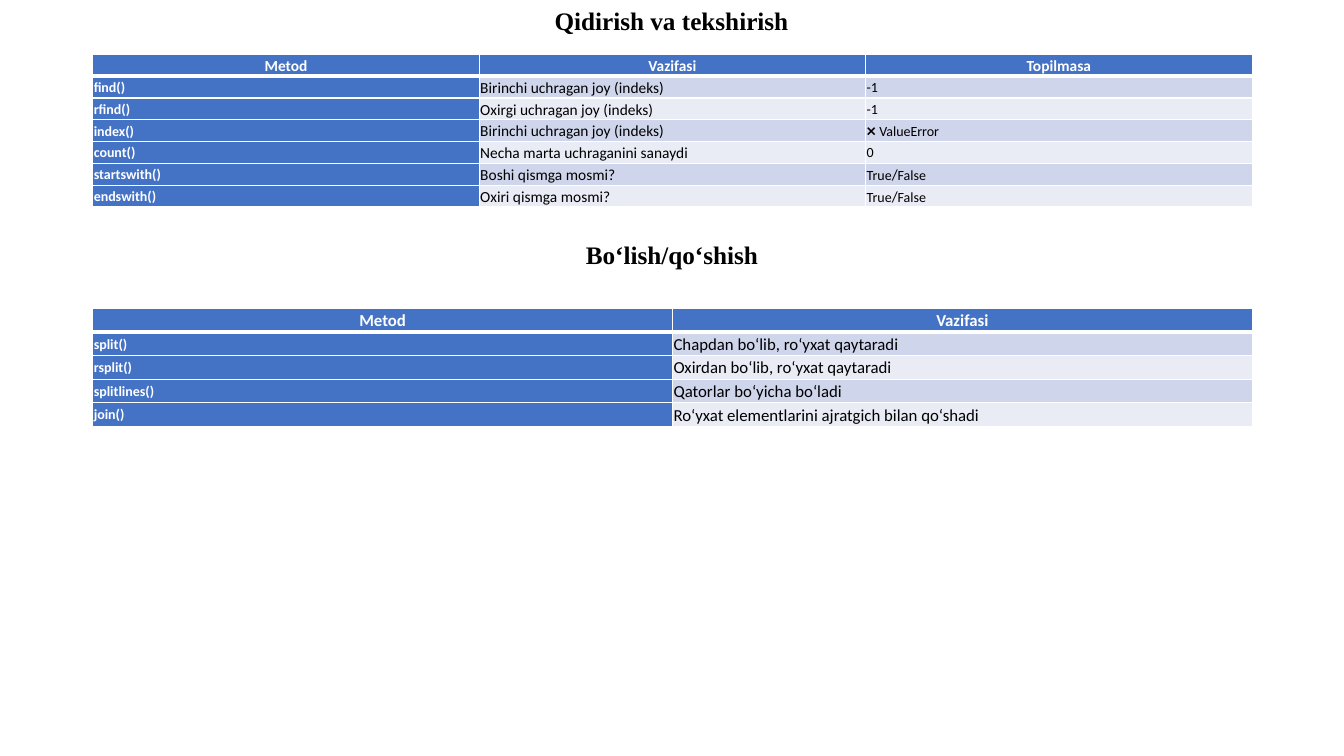
"""Build a slide with two reference tables of Python string methods."""
from lxml.etree import SubElement
from pptx import Presentation
from pptx.dml.color import RGBColor
from pptx.enum.text import MSO_ANCHOR, MSO_AUTO_SIZE, PP_ALIGN
from pptx.oxml.ns import qn
from pptx.util import Inches, Pt

BLUE, WHITE, BLACK = "4472C4", "FFFFFF", "000000"
BANDS = ("CFD5EA", "E9EBF5")
TRUE_FALSE = [("True", 10), ("/", 11), ("False", 10)]

SEARCH_ROWS = [
    ("Metod", "Vazifasi", "Topilmasa"),
    ("find()", "Birinchi uchragan joy (indeks)", "-1"),
    ("rfind()", "Oxirgi uchragan joy (indeks)", "-1"),
    ("index()", "Birinchi uchragan joy (indeks)", "❌ ValueError"),
    ("count()", "Necha marta uchraganini sanaydi", "0"),
    ("startswith()", "Boshi qismga mosmi?", TRUE_FALSE),
    ("endswith()", "Oxiri qismga mosmi?", TRUE_FALSE),
]
SPLIT_ROWS = [
    ("Metod", "Vazifasi"),
    ("split()", "Chapdan bo‘lib, ro‘yxat qaytaradi"),
    ("rsplit()", "Oxirdan bo‘lib, ro‘yxat qaytaradi"),
    ("splitlines()", "Qatorlar bo‘yicha bo‘ladi"),
    ("join()", "Ro‘yxat elementlarini ajratgich bilan qo‘shadi"),
]


def color(value):
    return RGBColor.from_string(value)


class SlideBuilder:
    heading_font = "Times New Roman"
    table_font = "Calibri"
    table_left, table_width = 0.92, 11.5

    def __init__(self, page):
        self.page = page

    def style(self, para, font_name, size, text_color, bold):
        font = para.font
        font.name, font.size, font.bold = font_name, Pt(size), bold
        font.color.rgb = color(text_color)

    def heading(self, box, text, left, top, width):
        box.left, box.top = Inches(left), Inches(top)
        box.width, box.height = Inches(width), Inches(0.4)
        frame = box.text_frame
        frame.text = text
        frame.word_wrap = False
        frame.auto_size = MSO_AUTO_SIZE.SHAPE_TO_FIT_TEXT
        frame.vertical_anchor = MSO_ANCHOR.TOP
        para = frame.paragraphs[0]
        para.alignment = PP_ALIGN.CENTER
        self.style(para, self.heading_font, 18, BLACK, True)

    def title(self, text, left, top, width):
        self.heading(self.page.shapes.title, text, left, top, width)

    def subtitle(self, text, left, top, width):
        box = self.page.shapes.add_textbox(0, 0, 0, 0)
        self.heading(box, text, left, top, width)

    def borders(self, cell, row):
        widths = {"lnL": 1, "lnR": 1, "lnT": 3 if row == 1 else 1, "lnB": 3 if row == 0 else 1}
        properties = cell._tc.get_or_add_tcPr()
        for side, width in widths.items():
            line = SubElement(properties, qn(f"a:{side}"), w=str(Pt(width)))
            fill = SubElement(line, qn("a:solidFill"))
            SubElement(fill, qn("a:srgbClr"), val=WHITE)

    def cell(self, cell, content, row, column, sizes):
        header, method = row == 0, column == 0
        accent = header or method
        self.borders(cell, row)
        cell.fill.solid()
        cell.fill.fore_color.rgb = color(BLUE if accent else BANDS[(row - 1) % 2])
        cell.vertical_anchor = MSO_ANCHOR.MIDDLE
        cell.margin_left = cell.margin_right = Inches(0.01)
        cell.margin_top = cell.margin_bottom = Inches(0.01)
        para = cell.text_frame.paragraphs[0]
        para.line_spacing = 1.07
        para.alignment = PP_ALIGN.CENTER if header else PP_ALIGN.LEFT
        size = sizes[1] if header else sizes[column]
        self.style(para, self.table_font, size, WHITE if accent else BLACK, accent)
        if isinstance(content, str):
            para.add_run().text = content
            return
        for text, span_size in content:
            span = para.add_run()
            span.text = text
            span.font.size = Pt(span_size)

    def table(self, rows, top, row_height, sizes):
        frame = self.page.shapes.add_table(
            len(rows), len(rows[0]), Inches(self.table_left), Inches(top),
            Inches(self.table_width), Inches(row_height * len(rows)))
        table = frame.table
        table.first_row = table.horz_banding = False
        for row, contents in enumerate(rows):
            for column, content in enumerate(contents):
                self.cell(table.cell(row, column), content, row, column, sizes)


def main():
    deck = Presentation()
    deck.slide_width, deck.slide_height = Inches(13.33), Inches(7.5)
    builder = SlideBuilder(deck.slides.add_slide(deck.slide_layouts[5]))
    builder.title("Qidirish va tekshirish", 5.39, 0, 2.54)
    builder.table(SEARCH_ROWS, 0.54, 0.21, (10, 11, 10))
    builder.subtitle("Bo‘lish/qo‘shish", 5.7, 2.33, 1.93)
    builder.table(SPLIT_ROWS, 3.06, 0.23, (10, 12))
    deck.save("out.pptx")


if __name__ == "__main__":
    main()
